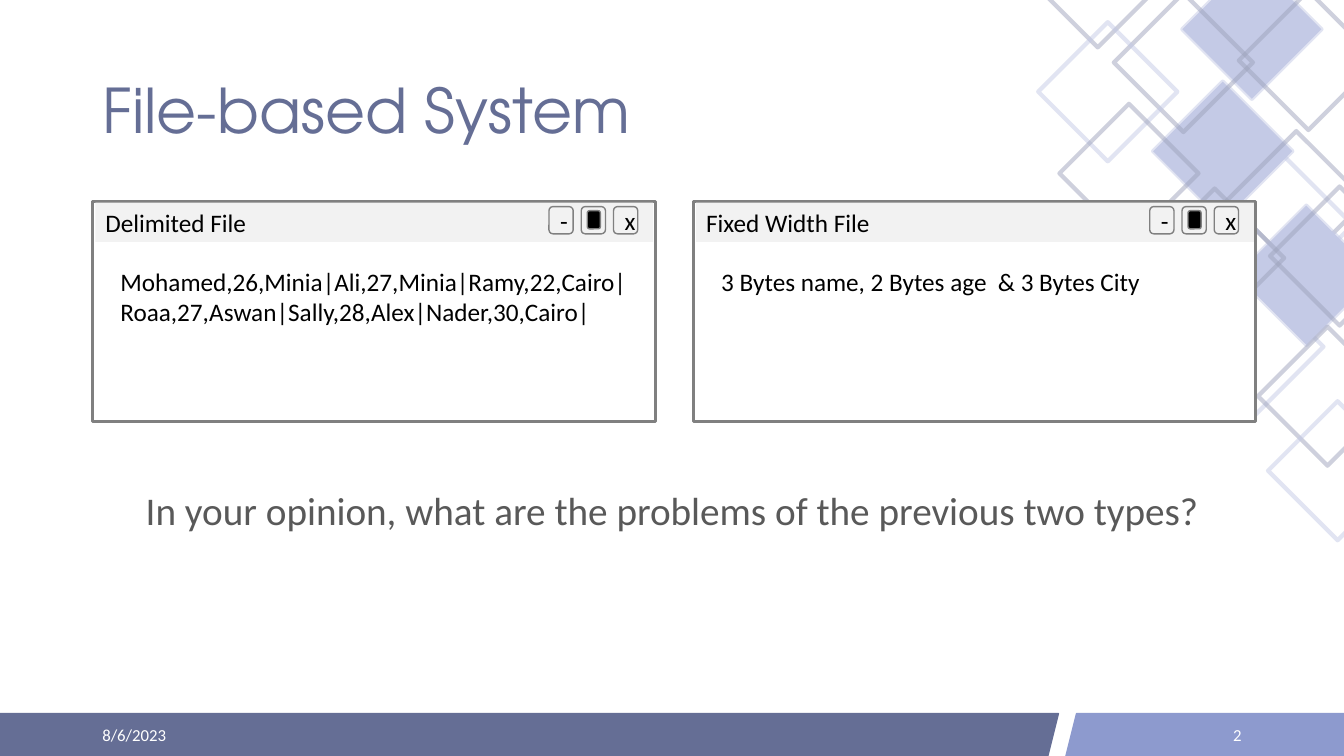
from dataclasses import dataclass
from lxml import etree
from pptx import Presentation
from pptx import util as u
from pptx.dml import color
from pptx.enum import shapes, text
from pptx.oxml import ns

COLUMNS, ROWS = 80, 45
KIND = shapes.MSO_SHAPE
ALIGN = text.PP_ALIGN
ANCHOR = text.MSO_ANCHOR


@dataclass(frozen=True)
class Theme:
    heading_font: str = "TeX Gyre Adventor"
    body_font: str = "Calibri"
    title_size: float = 44
    question_size: float = 28
    file_size: float = 18
    footer_size: float = 12
    white: str = "FFFFFF"
    black: str = "000000"
    indigo: str = "656E95"
    periwinkle: str = "8D9ACE"
    lavender: str = "C4CAE6"
    slate: str = "9EA3BC"
    frame: str = "808080"
    bar: str = "F2F2F2"
    question: str = "595959"


class SlideBuilder:
    def __init__(self, deck, theme):
        self.theme = theme
        self.column = deck.slide_width / COLUMNS
        self.row = deck.slide_height / ROWS
        self.page = deck.slides.add_slide(deck.slide_layouts[6])

    def place(self, left, top, width, height):
        return (round(left * self.column), round(top * self.row),
                round(width * self.column), round(height * self.row))

    def shape(self, kind, area, fill=None, line=None, weight=1, opacity=None):
        box = self.page.shapes.add_shape(kind, *self.place(*area))
        box.shadow.inherit = False
        if fill:
            box.fill.solid()
            box.fill.fore_color.rgb = color.RGBColor.from_string(fill)
        else:
            box.fill.background()
        if line:
            box.line.color.rgb = color.RGBColor.from_string(line)
            box.line.width = u.Pt(weight)
            if opacity:
                outline = box.element.spPr.find(ns.qn("a:ln"))
                paint = outline.find(".//" + ns.qn("a:srgbClr"))
                etree.SubElement(paint, ns.qn("a:alpha"), val=str(opacity * 1000))
        else:
            box.line.fill.background()
        return box

    def add_words(self, box, words, size, ink, font=None, align=ALIGN.LEFT,
                  anchor=ANCHOR.MIDDLE, spacing=None):
        frame = box.text_frame
        frame.word_wrap = True
        frame.vertical_anchor = anchor
        para = frame.paragraphs[0]
        para.alignment = align
        if spacing:
            para.line_spacing = spacing
        span = para.add_run()
        span.text = words
        span.font.size = u.Pt(size)
        span.font.name = font or self.theme.body_font
        span.font.color.rgb = color.RGBColor.from_string(ink)

    def label(self, area, words, size, ink, **style):
        box = self.page.shapes.add_textbox(*self.place(*area))
        self.add_words(box, words, size, ink, **style)

    def diamond(self, left, top, line, fill=None):
        self.shape(KIND.DIAMOND, (left, top, 8.28, 8.28), fill, line, 3, 50)

    def file_window(self, left, top, heading, content, content_rows):
        theme = self.theme
        self.shape(KIND.RECTANGLE, (left, top, 33.5, 13.08), theme.white, theme.frame, 2.25)
        bar = self.shape(KIND.RECTANGLE, (left + 0.18, top + 0.06, 33.2, 2.34), theme.bar)
        self.add_words(bar, heading, theme.file_size, theme.black)
        for index, symbol in enumerate(("-", None, "x")):
            area = (left + 27.18 + index * 1.92, top + 0.3, 1.44, 1.62)
            button = self.shape(KIND.ROUNDED_RECTANGLE, area, line=theme.frame)
            if symbol:
                self.add_words(button, symbol, theme.file_size, theme.black, align=ALIGN.CENTER)
        self.shape(KIND.ROUNDED_RECTANGLE, (left + 29.46, top + 0.54, 0.78, 1.08),
                   theme.black, theme.frame)
        self.label((left + 1.08, top + 3.54, 31.38, content_rows), content,
                   theme.file_size, theme.black, anchor=ANCHOR.TOP)


def main():
    deck = Presentation()
    deck.slide_width, deck.slide_height = u.Inches(13.333), u.Inches(7.5)
    theme = Theme()
    slide = SlideBuilder(deck, theme)

    for left, width, tone in ((-2.88, 65.88, theme.indigo), (63.42, 17.64, theme.periwinkle)):
        slide.shape(KIND.PARALLELOGRAM, (left, 42.48, width, 2.64), tone, tone)

    cluster = (
        (70.38, -2.4, theme.lavender, True),
        (73.74, -0.54, theme.slate, False),
        (68.64, 4.86, theme.lavender, True),
        (66.3, -0.42, theme.slate, False),
        (73.02, 7.8, theme.slate, False),
        (73.62, 12.24, theme.lavender, True),
        (61.2, -5.46, theme.slate, False),
    )
    for left, top, tone, filled in cluster:
        slide.diamond(left, top, tone, tone if filled else None)
    slide.diamond(61.8, 1.32, theme.lavender)
    for left, top, tone, _ in cluster:
        slide.diamond(left + 1.86, top + 11.64, tone)

    slide.label((5.5, 2.4, 69, 8.7), "File-based System", theme.title_size,
                theme.indigo, font=theme.heading_font, spacing=0.9)
    slide.label((5.5, 28.75, 69, 3.6),
                "In your opinion, what are the problems of the previous two types?",
                theme.question_size, theme.question, align=ALIGN.CENTER, spacing=0.9)
    slide.label((5.5, 42.54, 18, 2.4), "8/6/2023", theme.footer_size, theme.white)
    slide.label((56.5, 42.54, 18, 2.4), "2", theme.footer_size, theme.white, align=ALIGN.RIGHT)

    files = (
        ("Delimited File",
         "Mohamed,26,Minia|Ali,27,Minia|Ramy,22,Cairo|Roaa,27,Aswan|Sally,28,Alex|Nader,30,Cairo|",
         4.26),
        ("Fixed Width File", "3 Bytes name, 2 Bytes age  & 3 Bytes City", 2.4),
    )
    for index, (heading, content, content_rows) in enumerate(files):
        slide.file_window(5.5 + index * 35.76, 12, heading, content, content_rows)

    deck.save("out.pptx")


if __name__ == "__main__":
    main()
